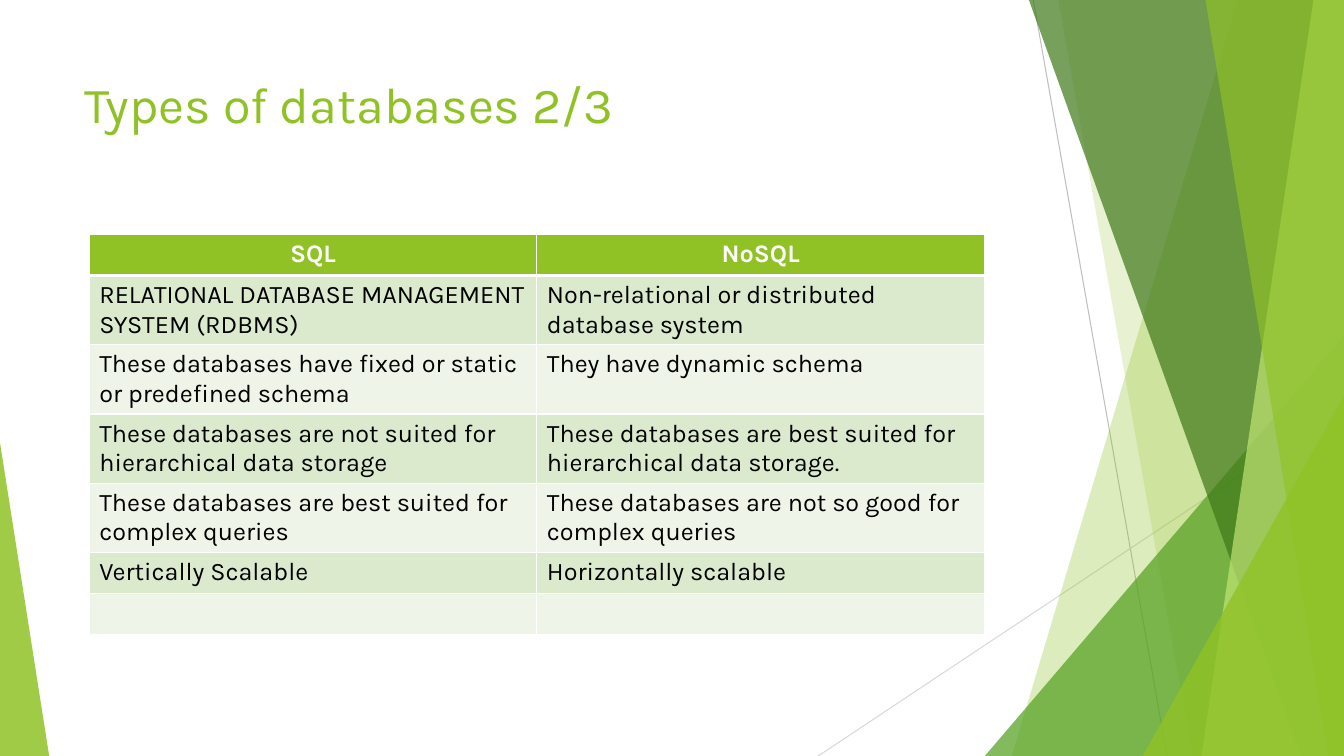
from dataclasses import dataclass

from lxml import etree
from pptx import Presentation
from pptx.dml.color import RGBColor
from pptx.enum import shapes, text
from pptx.oxml import ns
from pptx.util import Cm, Pt

TITLE = "Types of databases 2/3"
COMPARISON = [
    ("SQL", "NoSQL"),
    ("RELATIONAL DATABASE MANAGEMENT SYSTEM (RDBMS)", "Non-relational or distributed database system"),
    ("These databases have fixed or static or predefined schema", "They have dynamic schema"),
    ("These databases are not suited for hierarchical data storage",
     "These databases are best suited for hierarchical data storage."),
    ("These databases are best suited for complex queries", "These databases are not so good for complex queries"),
    ("Vertically Scalable", "Horizontally scalable"),
    ("", ""),
]


@dataclass(frozen=True)
class Theme:
    font: str = "Karla"
    title_size: int = 36
    table_size: int = 18
    green: str = "90C226"
    mid_green: str = "54A021"
    dark_green: str = "3F7819"
    pale_green: str = "C0E474"
    bands: tuple = ("EEF4E8", "DBE9CD")
    white: str = "FFFFFF"
    black: str = "000000"
    grey: str = "BFBFBF"
    pale_grey: str = "D9D9D9"


THEME = Theme()
WIDTH, HEIGHT = 33.87, 19.05
TABLE_LEFT, TABLE_TOP, COLUMN_WIDTH, ROW_HEIGHT = 2.25, 5.91, 11.28, 1.03

# Lengths in cm. Rays: start x, start y, end x, end y, colour
RAYS = [
    (26.04, 0, 29.41, HEIGHT, THEME.grey),
    (WIDTH, 10.24, 20.62, HEIGHT, THEME.pale_grey),
]
# Panels reach the right edge: top x, bottom x, colour, opacity %
# Wedges stand on the bottom edge: left, top, width, apex, colour, opacity %
FACETS = [
    ("panel", 31.19, 25.5, THEME.green, 30),
    ("panel", 26.67, 30.05, THEME.green, 20),
    ("wedge", 24.82, 8.46, 9.05, 1, THEME.mid_green, 72),
    ("panel", 25.93, 32.79, THEME.dark_green, 70),
    ("panel", 33.1, 30.28, THEME.pale_green, 70),
    ("panel", 30.38, 33.48, THEME.green, 65),
    ("wedge", 28.8, 9.98, 5.07, 1, THEME.green, 80),
    ("wedge", 0, 11.15, 1.24, 0, THEME.green, 85),
]


def rgb(colour):
    return RGBColor.from_string(colour)


def add_run(frame, wording, size, colour, bold=False):
    run = frame.paragraphs[0].add_run()
    run.text = wording
    run.font.name = THEME.font
    run.font.size = Pt(size)
    run.font.bold = bold
    run.font.color.rgb = rgb(colour)


def add_ray(slide, x1, y1, x2, y2, colour):
    ray = slide.shapes.add_connector(shapes.MSO_CONNECTOR.STRAIGHT, Cm(x1), Cm(y1), Cm(x2), Cm(y2))
    ray.line.color.rgb = rgb(colour)
    ray.line.width = Pt(0.75)
    etree.SubElement(ray._element.spPr, ns.qn("a:effectLst"))


def add_panel(slide, top_x, bottom_x):
    outline = slide.shapes.build_freeform(Cm(top_x), 0)
    corners = [(WIDTH, 0), (WIDTH, HEIGHT), (bottom_x, HEIGHT)]
    outline.add_line_segments([(Cm(x), Cm(y)) for x, y in corners], close=True)
    return outline.convert_to_shape()


def add_wedge(slide, left, top, width, apex):
    wedge = slide.shapes.add_shape(
        shapes.MSO_SHAPE.ISOSCELES_TRIANGLE, Cm(left), Cm(top), Cm(width), Cm(HEIGHT - top))
    wedge.adjustments[0] = apex
    return wedge


def tint(facet, colour, opacity):
    facet.shadow.inherit = False
    facet.line.fill.background()
    facet.fill.solid()
    facet.fill.fore_color.rgb = rgb(colour)
    swatch = facet._element.spPr.find(ns.qn("a:solidFill"))[0]
    etree.SubElement(swatch, ns.qn("a:alpha"), val=str(opacity * 1000))


def add_border(cell, side, points):
    edge = etree.SubElement(cell._tc.get_or_add_tcPr(), ns.qn("a:ln" + side), w=str(Pt(points)))
    fill = etree.SubElement(edge, ns.qn("a:solidFill"))
    etree.SubElement(fill, ns.qn("a:srgbClr"), val=THEME.white)


def add_title(slide):
    title = slide.shapes.title
    title.left, title.top, title.width, title.height = Cm(1.88), Cm(1.7), Cm(23.88), Cm(1.8)
    frame = title.text_frame
    frame.auto_size = text.MSO_AUTO_SIZE.NONE
    frame.vertical_anchor = text.MSO_ANCHOR.BOTTOM
    frame.paragraphs[0].alignment = text.PP_ALIGN.LEFT
    add_run(frame, TITLE, THEME.title_size, THEME.green)


def add_comparison(slide):
    rows, columns = len(COMPARISON), len(COMPARISON[0])
    table = slide.shapes.add_table(
        rows, columns, Cm(TABLE_LEFT), Cm(TABLE_TOP),
        Cm(COLUMN_WIDTH * columns), Cm(ROW_HEIGHT * rows)).table
    for r, row in enumerate(COMPARISON):
        header = r == 0
        for c, wording in enumerate(row):
            cell = table.cell(r, c)
            for side in "LRTB":
                thick = (header and side == "B") or (r == 1 and side == "T")
                add_border(cell, side, 3 if thick else 1)
            cell.fill.solid()
            cell.fill.fore_color.rgb = rgb(THEME.green if header else THEME.bands[r % 2])
            if header:
                cell.text_frame.paragraphs[0].alignment = text.PP_ALIGN.CENTER
            if wording:
                add_run(cell.text_frame, wording, THEME.table_size,
                        THEME.white if header else THEME.black, header)


def main():
    deck = Presentation()
    deck.slide_width, deck.slide_height = Cm(WIDTH), Cm(HEIGHT)
    slide = deck.slides.add_slide(deck.slide_layouts.get_by_name("Title Only"))
    for ray in RAYS:
        add_ray(slide, *ray)
    builders = {"panel": add_panel, "wedge": add_wedge}
    for kind, *outline, colour, opacity in FACETS:
        tint(builders[kind](slide, *outline), colour, opacity)
    add_title(slide)
    add_comparison(slide)
    deck.save("out.pptx")


if __name__ == "__main__":
    main()
